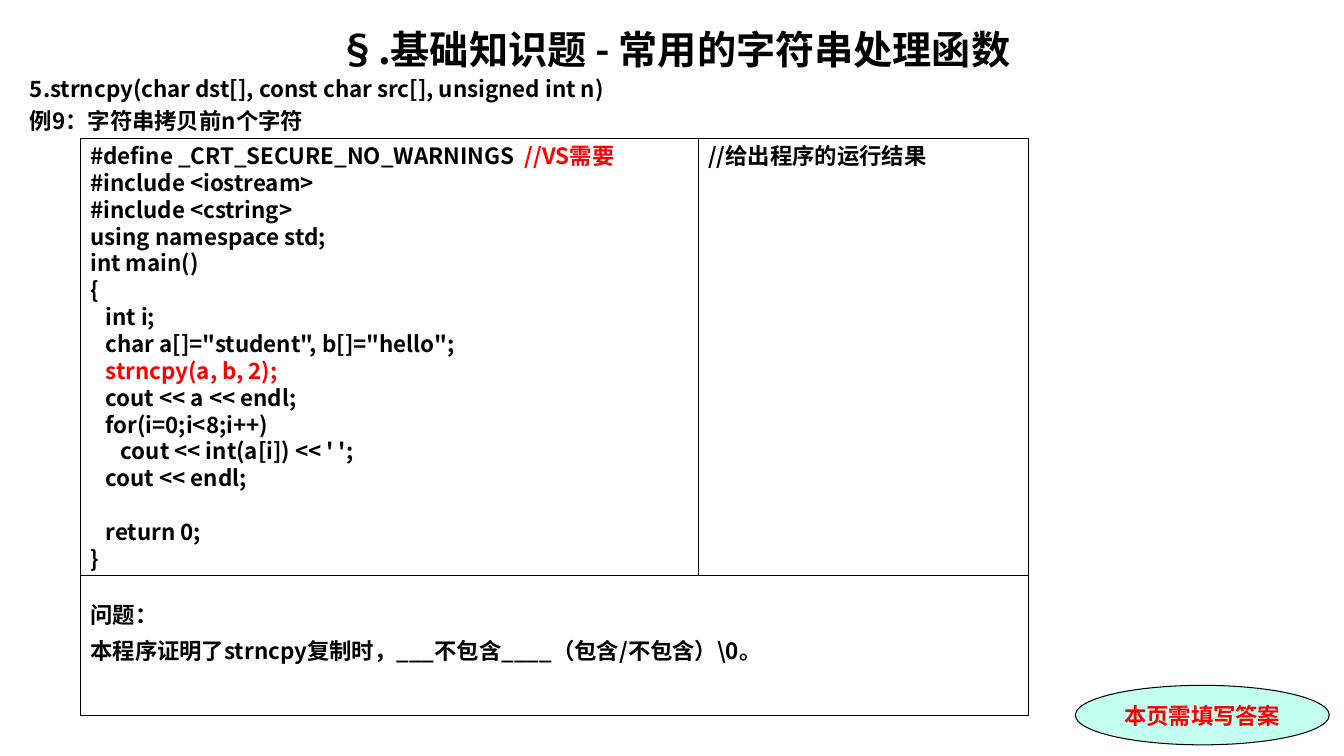
from pptx import Presentation
from pptx import util as u
from pptx.dml import color
from pptx.enum import shapes, text
from pptx.oxml import ns
from lxml import etree

HEITI = "Noto Sans CJK SC"
BLACK, RED, MINT = "000000", "FF0000", "C2FFF0"


def rgb(code):
    """Turn a hex string into a colour."""
    return color.RGBColor.from_string(code)


class ExamSlide:
    """Hold the text style and draw the elements of one slide."""

    def __init__(self, slide, size=16, outline=0.75):
        self.slide, self.size, self.outline = slide, size, outline

    def fill_text(self, frame, lines, size=None, font=HEITI, align=text.PP_ALIGN.LEFT,
                  pitch=1.2, gap=0, inset=0.0, anchor=text.MSO_ANCHOR.TOP):
        """Fill a frame with lines, each a list of (wording, colour) runs."""
        size = size or self.size
        frame.word_wrap = True
        frame.auto_size = text.MSO_AUTO_SIZE.NONE
        frame.vertical_anchor = anchor
        frame.margin_top, frame.margin_bottom = u.Cm(inset), 0
        space = 0
        started = False
        for runs in lines:
            if not runs:
                space += size * pitch
                continue
            paragraph = frame.add_paragraph() if started else frame.paragraphs[0]
            paragraph.alignment = align
            paragraph.line_spacing = u.Pt(size * pitch)
            paragraph.space_before = u.Pt(space + gap if started else 0)
            paragraph.space_after = u.Pt(0)
            started, space = True, 0
            for wording, ink in runs:
                run = paragraph.add_run()
                run.text = wording
                run.font.size, run.font.bold = u.Pt(size), True
                run.font.color.rgb = rgb(ink)
                run.font.name = font
                east = etree.SubElement(run.font._element, ns.qn("a:ea"))
                east.set("typeface", HEITI)

    def placeholder(self, index, box, lines, **style):
        """Move a template placeholder and fill it."""
        holder = self.slide.placeholders[index]
        holder.left, holder.top, holder.width, holder.height = map(u.Cm, box)
        self.fill_text(holder.text_frame, lines, **style)

    def panel(self, box, lines, kind=shapes.MSO_SHAPE.RECTANGLE, fill=None, **style):
        """Draw an outlined shape with text."""
        panel = self.slide.shapes.add_shape(kind, *map(u.Cm, box))
        panel.shadow.inherit = False
        if fill:
            panel.fill.solid()
            panel.fill.fore_color.rgb = rgb(fill)
        else:
            panel.fill.background()
        panel.line.color.rgb = rgb(BLACK)
        panel.line.width = u.Pt(self.outline)
        self.fill_text(panel.text_frame, lines, **style)


def plain(*lines):
    """Make each line one black run."""
    return [[(line, BLACK)] if line else [] for line in lines]


def main():
    """Build the slide and save it."""
    deck = Presentation()
    deck.slide_width, deck.slide_height = u.Cm(33.87), u.Cm(19.05)
    page = ExamSlide(deck.slides.add_slide(deck.slide_layouts[0]))

    page.placeholder(0, (0.5, 0.65, 33, 1.2), plain("§.基础知识题 - 常用的字符串处理函数"),
                     size=28, align=text.PP_ALIGN.CENTER)
    page.placeholder(1, (0.5, 1.9, 33, 1.55), plain(
        "5.strncpy(char dst[], const char src[], unsigned int n)",
        "例9：字符串拷贝前n个字符"), gap=3.6)

    page.panel((27.1, 17.27, 6.4, 1.5), [[("本页需填写答案", RED)]],
               kind=shapes.MSO_SHAPE.OVAL, fill=MINT, font="Times New Roman",
               align=text.PP_ALIGN.CENTER, anchor=text.MSO_ANCHOR.MIDDLE)

    left, top, code_width, answer_width = 2.03, 3.5, 15.57, 8.31
    code_height, question_height = 11, 3.53
    program = [
        [("#define _CRT_SECURE_NO_WARNINGS", BLACK), ("  //VS需要", RED)],
        *plain("#include <iostream>", "#include <cstring>", "using namespace std;",
               "int main()", "{", "   int i;",
               "   char a[]=\"student\", b[]=\"hello\";"),
        [("   strncpy(a, b, 2);", RED)],
        *plain("   cout << a << endl;", "   for(i=0;i<8;i++)",
               "      cout << int(a[i]) << ' ';", "   cout << endl;", "",
               "   return 0;", "}"),
    ]
    page.panel((left, top, code_width, code_height), program, inset=0.08)
    page.panel((left, top + code_height, code_width + answer_width, question_height),
               plain("问题：", "本程序证明了strncpy复制时，___不包含____（包含/不包含）\\0。"),
               gap=6.7, inset=0.64)
    page.panel((left + code_width, top, answer_width, code_height),
               plain("//给出程序的运行结果"), inset=0.08)

    deck.save("out.pptx")


if __name__ == "__main__":
    main()
